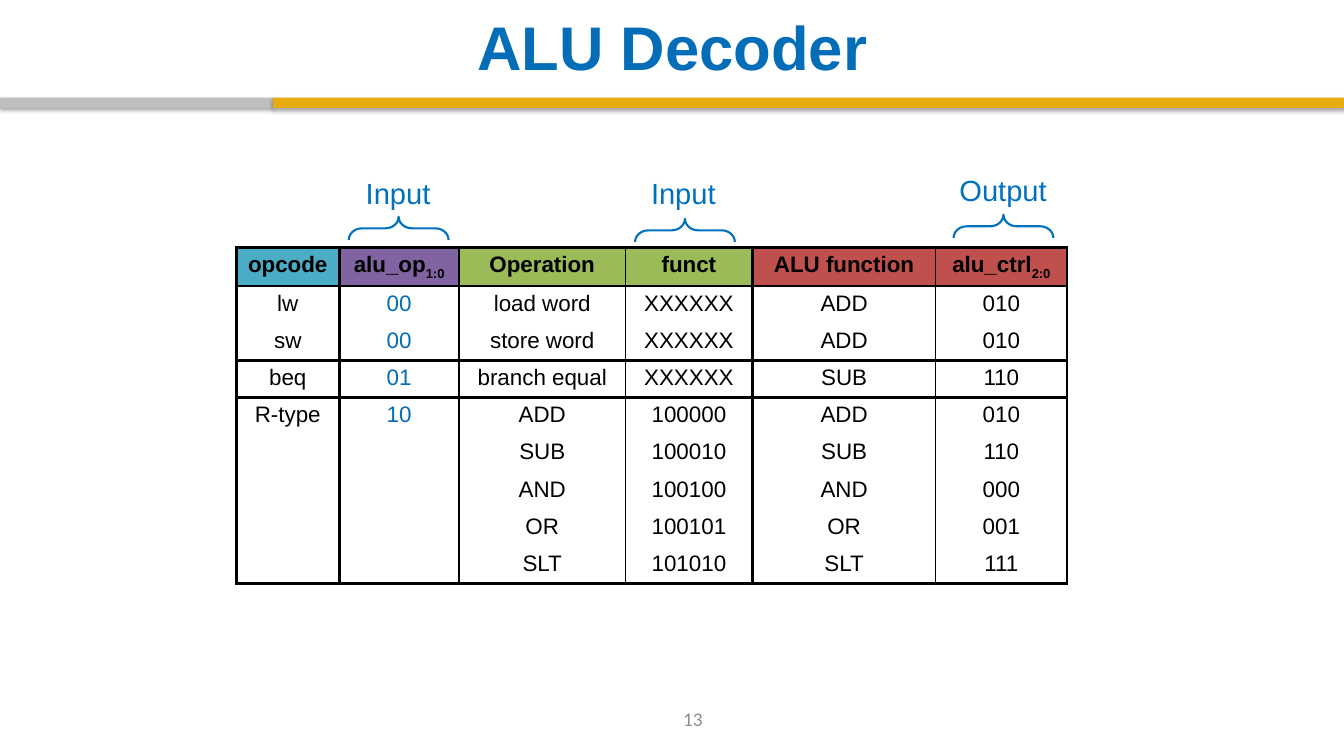
from dataclasses import dataclass
from typing import Optional

from lxml.etree import SubElement
from pptx import Presentation
from pptx.dml.color import RGBColor
from pptx.enum.shapes import MSO_SHAPE as Shape
from pptx.enum.text import MSO_ANCHOR as Anchor, PP_ALIGN as Align
from pptx.oxml import parse_xml
from pptx.oxml.ns import nsdecls, qn
from pptx.slide import Slide
from pptx.table import _Cell as Cell
from pptx.text.text import _Run as Span
from pptx.util import Inches, Length, Pt

GRID_COLUMNS, GRID_ROWS = 133.33, 75


@dataclass(frozen=True)
class Theme:
    heading_font: str = "Arial"
    small_font: str = "Calibri"
    blue: str = "036DB7"
    bright_blue: str = "0070C0"
    gold: str = "E7AC11"
    silver: str = "BFBFBF"
    gray: str = "8C8C8C"
    black: str = "000000"
    white: str = "FFFFFF"
    teal: str = "4BACC6"
    purple: str = "8064A2"
    green: str = "9BBB59"
    red: str = "C0504D"
    title_size: float = 44
    label_size: float = 20.8
    cell_size: float = 16
    number_size: float = 13.8
    thick: float = 2.25
    thin: float = 1
    brace: float = 1.5


THEME = Theme()


@dataclass(frozen=True)
class Area:
    """A rectangle in grid columns and rows."""
    column: float
    row: float
    columns: float
    rows: float

    def lengths(self) -> tuple[Length, ...]:
        return tuple(grid(n) for n in (self.column, self.row, self.columns, self.rows))


@dataclass(frozen=True)
class Caption:
    text: str
    area: Area
    size: float
    color: str
    font: str
    bold: bool = False
    centered: bool = False


@dataclass(frozen=True)
class Bar:
    area: Area
    color: str


@dataclass(frozen=True)
class Column:
    heading: str
    columns: float
    fill: str
    subscript: str = ""
    color: str = THEME.black


BARS = (
    Bar(Area(0, 9.7, 27.1, 1), THEME.silver),
    Bar(Area(27.1, 9.7, GRID_COLUMNS - 27.1, 1), THEME.gold),
)

CAPTIONS = (
    Caption("ALU Decoder", Area(6.7, 0.8, 120, 7.6), THEME.title_size, THEME.blue,
            THEME.heading_font, bold=True, centered=True),
    Caption("13", Area(53.2, 69.3, 31.1, 4), THEME.number_size, THEME.gray,
            THEME.small_font, centered=True),
    *(Caption(text, area, THEME.label_size, THEME.bright_blue, THEME.heading_font)
      for text, area in (("Input", Area(35.3, 16.9, 8.5, 4.5)),
                         ("Input", Area(63.6, 16.9, 8.5, 4.5)),
                         ("Output", Area(94.2, 16.6, 10.7, 4.5)))),
)

BRACES = tuple(Area(column, row, 2.3, 9.9)
               for column, row in ((38.4, 17.7), (66.8, 17.9), (98.4, 17.5)))

COLUMNS = (
    Column("opcode", 10.2, THEME.teal),
    Column("alu_op", 11.9, THEME.purple, "1:0", THEME.blue),
    Column("Operation", 16.5, THEME.green),
    Column("funct", 12.6, THEME.green),
    Column("ALU function", 18.2, THEME.red),
    Column("alu_ctrl", 13, THEME.red, "2:0"),
)
BODY = (
    ("lw", "00", "load word", "XXXXXX", "ADD", "010"),
    ("sw", "00", "store word", "XXXXXX", "ADD", "010"),
    ("beq", "01", "branch equal", "XXXXXX", "SUB", "110"),
    ("R-type", "10", "ADD", "100000", "ADD", "010"),
    ("", "", "SUB", "100010", "SUB", "110"),
    ("", "", "AND", "100100", "AND", "000"),
    ("", "", "OR", "100101", "OR", "001"),
    ("", "", "SLT", "101010", "SLT", "111"),
)
TABLE_AREA = Area(23.45, 24.55, sum(column.columns for column in COLUMNS), 33.2)
R_TYPE_ROW, LAST_ROW = 4, len(BODY)
ROW_RULES = {edge: THEME.thick for edge in (0, 1, 3, R_TYPE_ROW, LAST_ROW + 1)}
COLUMN_RULES = {edge: THEME.thin if edge in (3, 5) else THEME.thick
                for edge in range(len(COLUMNS) + 1)}


def grid(count: float) -> Length:
    """Turn a count of grid columns or rows, a tenth of an inch each, into a length."""
    return Inches(count / 10)


def style(span: Span, size: float, color: str, font: str, bold: bool = False) -> None:
    span.font.size, span.font.name, span.font.bold = Pt(size), font, bold
    span.font.color.rgb = RGBColor.from_string(color)


def draw_bar(page: Slide, bar: Bar) -> None:
    box = page.shapes.add_shape(Shape.RECTANGLE, *bar.area.lengths())
    box.fill.solid()
    box.fill.fore_color.rgb = RGBColor.from_string(bar.color)
    box.line.fill.background()
    box._element.spPr.append(parse_xml(
        f'<a:effectLst {nsdecls("a")}><a:outerShdw blurRad="{Pt(3.1)}" dist="{Pt(1.8)}" '
        f'dir="5400000" rotWithShape="0"><a:srgbClr val="{THEME.black}">'
        '<a:alpha val="35000"/></a:srgbClr></a:outerShdw></a:effectLst>'))


def draw_caption(page: Slide, caption: Caption) -> None:
    frame = page.shapes.add_textbox(*caption.area.lengths()).text_frame
    frame.text = caption.text
    frame.word_wrap = caption.centered
    frame.vertical_anchor = Anchor.MIDDLE if caption.centered else Anchor.TOP
    para = frame.paragraphs[0]
    para.alignment = Align.CENTER if caption.centered else Align.LEFT
    style(para.runs[0], caption.size, caption.color, caption.font, caption.bold)


def draw_brace(page: Slide, area: Area) -> None:
    brace = page.shapes.add_shape(Shape.RIGHT_BRACE, *area.lengths())
    brace.rotation = 270
    brace.adjustments[0] = 0.57
    brace.shadow.inherit = False
    brace.fill.background()
    brace.line.color.rgb = RGBColor.from_string(THEME.bright_blue)
    brace.line.width = Pt(THEME.brace)


def rule_cell(cell: Cell, row: int, column: int) -> None:
    """Draw the four borders, leaving out edges that have no rule."""
    bottom = row + (cell.span_height if cell.is_merge_origin else 1)
    widths = {"a:lnL": COLUMN_RULES.get(column), "a:lnR": COLUMN_RULES.get(column + 1),
              "a:lnT": ROW_RULES.get(row), "a:lnB": ROW_RULES.get(bottom)}
    properties = cell._tc.get_or_add_tcPr()
    for tag, width in widths.items():
        line = SubElement(properties, qn(tag), w=str(Pt(width or 0)))
        if width:
            paint = SubElement(line, qn("a:solidFill"))
            SubElement(paint, qn("a:srgbClr"), val=THEME.black)
        else:
            SubElement(line, qn("a:noFill"))


def fill_cell(cell: Cell, color: Optional[str]) -> None:
    if color is None:
        cell.fill.background()
    else:
        cell.fill.solid()
        cell.fill.fore_color.rgb = RGBColor.from_string(color)


def draw_table(page: Slide) -> None:
    texts = (tuple(column.heading for column in COLUMNS), *BODY)
    table = page.shapes.add_table(len(texts), len(COLUMNS), *TABLE_AREA.lengths()).table
    table.first_row = table.horz_banding = False
    for line in table.rows:
        line.height = grid(TABLE_AREA.rows / len(texts))
    for index, column in enumerate(COLUMNS):
        table.columns[index].width = grid(column.columns)
        if index < 2:
            table.cell(R_TYPE_ROW, index).merge(table.cell(LAST_ROW, index))
        for row, line in enumerate(texts):
            cell, header = table.cell(row, index), row == 0
            rule_cell(cell, row, index)
            plain = THEME.white if row >= R_TYPE_ROW and index in (3, 5) else None
            fill_cell(cell, column.fill if header else plain)
            if cell.is_spanned:
                continue
            para = cell.text_frame.paragraphs[0]
            para.text = line[index]
            para.alignment = Align.CENTER
            if header and column.subscript:
                lowered = para.add_run()
                lowered.text = column.subscript
                lowered._r.get_or_add_rPr().set("baseline", "-25000")
            for span in para.runs:
                style(span, THEME.cell_size, THEME.black if header else column.color,
                      THEME.heading_font, header)


def main() -> None:
    deck = Presentation()
    deck.slide_width, deck.slide_height = grid(GRID_COLUMNS), grid(GRID_ROWS)
    page = deck.slides.add_slide(deck.slide_layouts[6])
    for bar in BARS:
        draw_bar(page, bar)
    draw_table(page)
    for area in BRACES:
        draw_brace(page, area)
    for caption in CAPTIONS:
        draw_caption(page, caption)
    deck.save("out.pptx")


if __name__ == "__main__":
    main()
